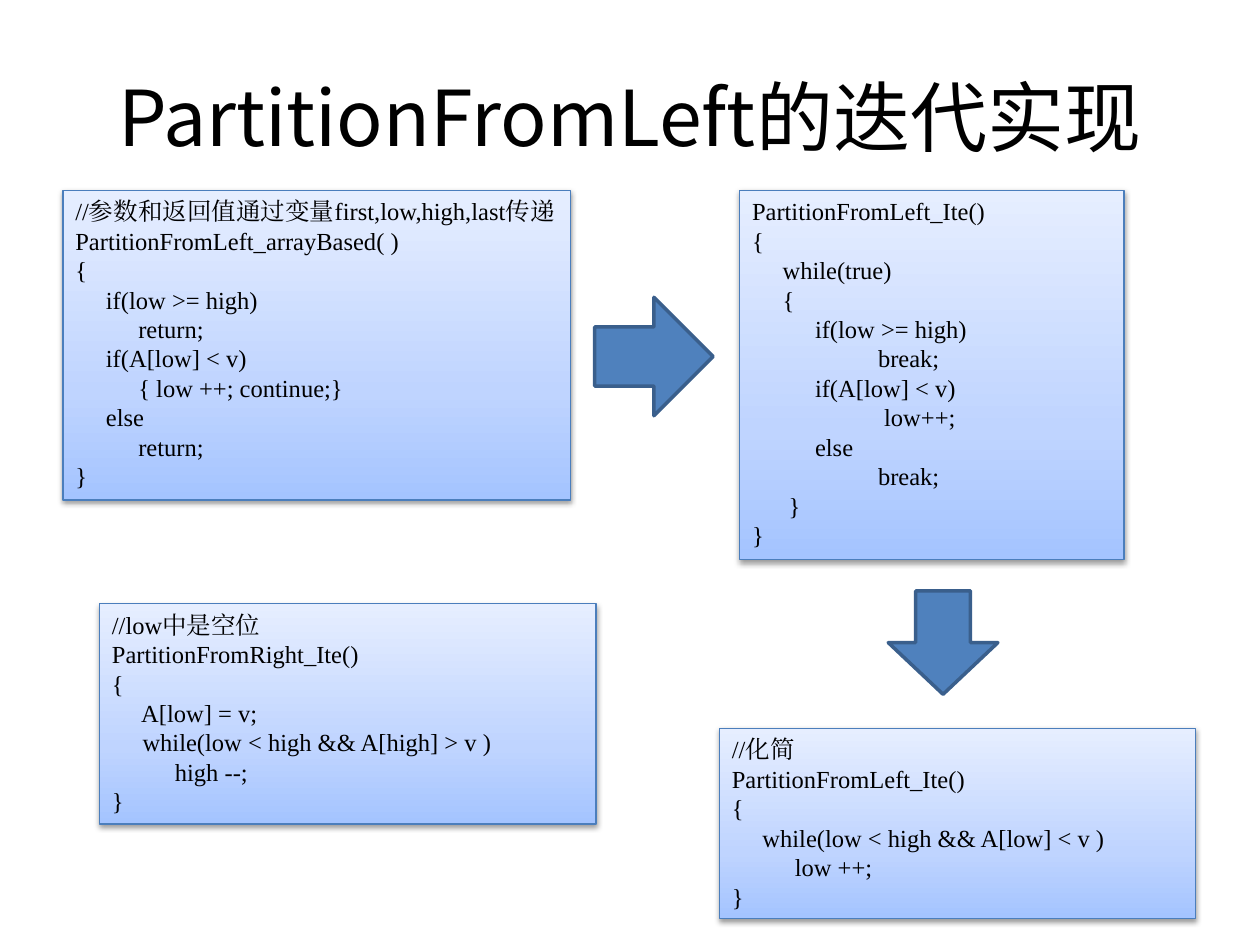
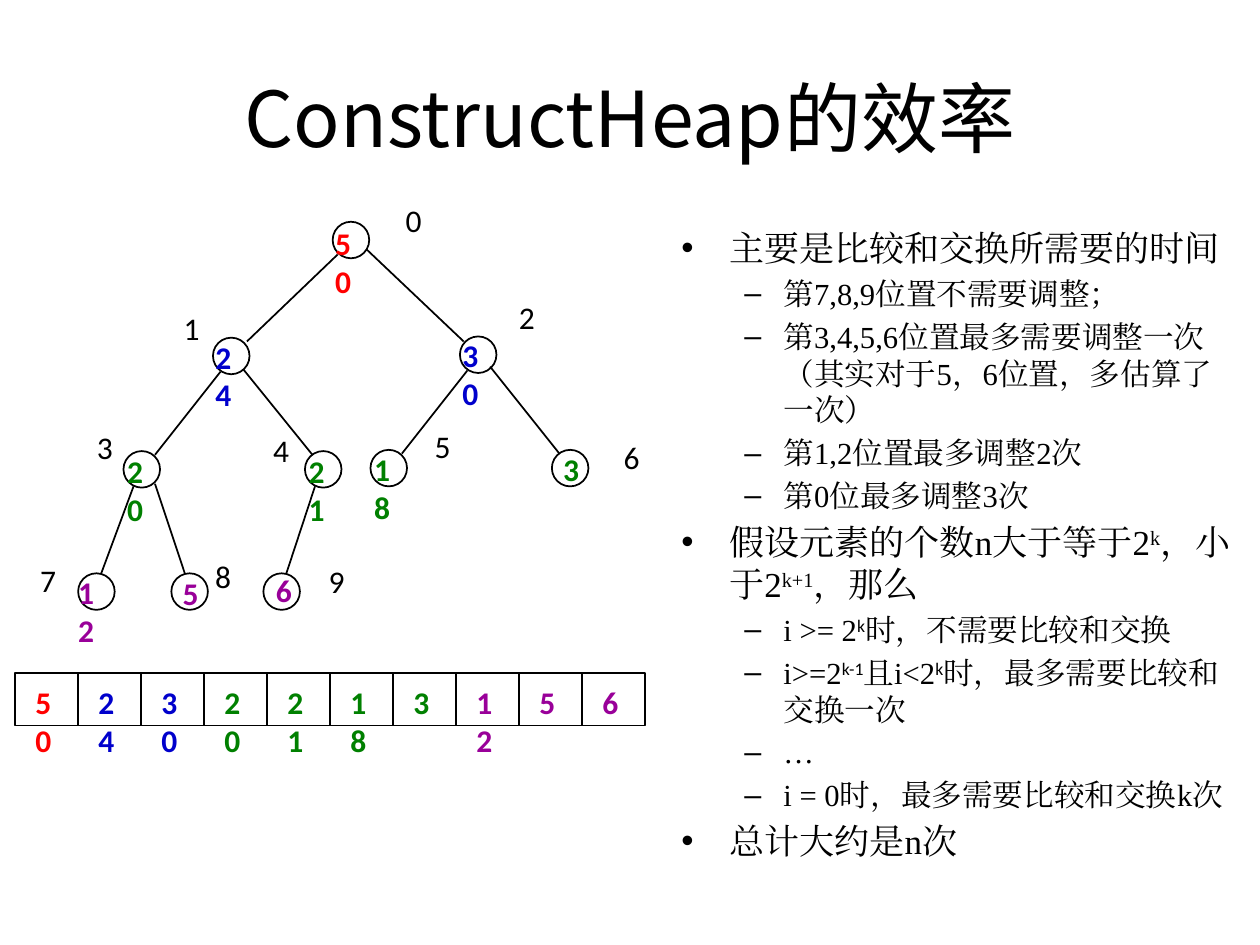
from dataclasses import dataclass

from lxml import etree
from pptx import Presentation
from pptx.dml.color import RGBColor
from pptx.enum.shapes import MSO_CONNECTOR as Connector, MSO_SHAPE as Shape
from pptx.enum.text import MSO_ANCHOR as Anchor, PP_ALIGN as Align
from pptx.oxml import parse_xml
from pptx.oxml.ns import nsdecls, qn
from pptx.util import Emu, Pt

PX = 9144  # EMU in one px, 100 px to the inch
TITLE_ONLY = 5


@dataclass(frozen=True)
class Theme:
    ink: str = "000000"
    arrow_fill: str = "4F81BD"
    arrow_line: str = "3A5F8C"
    code_line: str = "4B7EBC"
    code_stops: tuple = ((0, "A4C4FF"), (35, "BFD4FF"), (100, "E6EEFF"))
    root: str = "FF0000"
    second: str = "0000CC"
    third: str = "008000"
    leaf: str = "990099"
    title_font: str = "Noto Sans CJK JP"
    text_font: str = "Times New Roman"
    number_font: str = "Calibri"
    title_size: float = 44
    code_size: float = 14
    number_size: float = 18
    bullet_sizes: tuple = (20, 17.5)
    leading: float = 1.2


class Builder:
    """Holds the theme and the current slide, and draws on it."""

    def __init__(self, theme):
        self.theme = theme
        self.deck = Presentation()
        self.deck.slide_width, self.deck.slide_height = self.emu(1000, 750)
        self.page = None

    @staticmethod
    def emu(*lengths):
        return [Emu(length * PX) for length in lengths]

    @staticmethod
    def style(span, font, size, color, bold=False):
        span.font.name = font
        span.font.size = Pt(size)
        span.font.bold = bold
        span.font.color.rgb = RGBColor.from_string(color)
        latin = span.font._element.find(qn("a:latin"))
        latin.addnext(parse_xml(f'<a:ea {nsdecls("a")} typeface="{font}"/>'))

    @staticmethod
    def outline(item, color, width):
        item.line.color.rgb = RGBColor.from_string(color)
        item.line.width = Pt(width)

    def new_page(self, title, top):
        self.page = self.deck.slides.add_slide(self.deck.slide_layouts[TITLE_ONLY])
        box = self.page.shapes.title
        box.left, box.top, box.width, box.height = self.emu(50, top, 900, 125)
        frame = box.text_frame
        frame.text = title
        frame.vertical_anchor = Anchor.MIDDLE
        para = frame.paragraphs[0]
        para.alignment = Align.CENTER
        self.style(para.runs[0], self.theme.title_font, self.theme.title_size,
                   self.theme.ink)

    def shape(self, kind, place, line, width, fill=None):
        item = self.page.shapes.add_shape(kind, *self.emu(*place))
        item.shadow.inherit = False
        self.outline(item, line, width)
        if fill:
            item.fill.solid()
            item.fill.fore_color.rgb = RGBColor.from_string(fill)
        else:
            item.fill.background()
        return item

    def line(self, x1, y1, x2, y2, width):
        item = self.page.shapes.add_connector(
            Connector.STRAIGHT, *self.emu(x1, y1, x2, y2))
        self.outline(item, self.theme.ink, width)
        etree.SubElement(item._element.spPr, qn("a:effectLst"))

    def arrow(self, kind, place):
        self.shape(kind, place, self.theme.arrow_line, 2, self.theme.arrow_fill)

    def code(self, place, text):
        theme = self.theme
        box = self.shape(Shape.RECTANGLE, place, theme.code_line, 0.75)
        properties = box._element.spPr
        stops = "".join(
            f'<a:gs pos="{at * 1000}"><a:srgbClr val="{color}"/></a:gs>'
            for at, color in theme.code_stops)
        properties.replace(properties.find(qn("a:noFill")), parse_xml(
            f'<a:gradFill {nsdecls("a")} rotWithShape="1"><a:gsLst>{stops}</a:gsLst>'
            '<a:lin ang="16200000" scaled="0"/></a:gradFill>'))
        properties.find(qn("a:effectLst")).append(parse_xml(
            f'<a:outerShdw {nsdecls("a")} blurRad="40000" dist="20000" dir="5400000"'
            ' rotWithShape="0"><a:srgbClr val="000000"><a:alpha val="38000"/>'
            '</a:srgbClr></a:outerShdw>'))
        frame = box.text_frame
        frame.word_wrap = True
        frame.vertical_anchor = Anchor.TOP
        frame.text = text
        for para in frame.paragraphs:
            para.alignment = Align.LEFT
            para.line_spacing = Pt(theme.code_size * theme.leading)
            self.style(para.runs[0], theme.text_font, theme.code_size, theme.ink)

    def text_box(self, place):
        frame = self.page.shapes.add_textbox(*self.emu(*place)).text_frame
        frame.word_wrap = True
        return frame

    def index(self, left, top, number):
        frame = self.text_box((left, top, 35, 40))
        frame.text = str(number)
        self.style(frame.paragraphs[0].runs[0], self.theme.number_font,
                   self.theme.number_size, self.theme.ink)

    def value(self, left, top, number, color):
        frame = self.text_box((left, top, 25, 30))
        frame.margin_left = frame.margin_right = 0
        frame.margin_top = frame.margin_bottom = 0
        frame.text = str(number)
        self.style(frame.paragraphs[0].runs[0], self.theme.number_font,
                   self.theme.number_size, color, bold=True)

    def bullets(self, place, items):
        """Each item is (level, text); text between ^ marks is raised."""
        theme = self.theme
        frame = self.text_box(place)
        for number, (level, text) in enumerate(items):
            para = frame.add_paragraph() if number else frame.paragraphs[0]
            para.level = level
            size = theme.bullet_sizes[level]
            left, hanging = self.emu(*((38, 38), (81, 31))[level])
            properties = para._p.get_or_add_pPr()
            properties.set("marL", str(left))
            properties.set("indent", str(-hanging))
            etree.SubElement(properties, qn("a:buFont"), typeface="Arial")
            etree.SubElement(properties, qn("a:buChar"), char="•–"[level])
            para.line_spacing = Pt(size * theme.leading)
            if number:
                para.space_before = Pt(size * 0.2)
            for part, words in enumerate(text.split("^")):
                span = para.add_run()
                span.text = words
                raised = part % 2 == 1
                font = theme.number_font if raised and level else theme.text_font
                self.style(span, font, size, theme.ink)
                if raised:
                    span.font._element.set("baseline", "30000")


ARRAY_CODE = """//参数和返回值通过变量first,low,high,last传递PartitionFromLeft_arrayBased( )
{
     if(low >= high)
\treturn;
     if(A[low] < v)
\t{ low ++; continue;}
     else
\treturn;
}"""

LOOP_CODE = """PartitionFromLeft_Ite()
{
     while(true)
     {
\tif(low >= high)
\t\tbreak;
\tif(A[low] < v)
\t\t low++;
\telse
\t\tbreak;
      }
}"""

SHORT_CODE = """//化简
PartitionFromLeft_Ite()
{
     while(low < high && A[low] < v )
\tlow ++;
}"""

RIGHT_CODE = """//low中是空位
PartitionFromRight_Ite()
{
     A[low] = v;
     while(low < high && A[high] > v )
\thigh --;
}"""

COST_NOTES = (
    (0, "主要是比较和交换所需要的时间"),
    (1, "第7,8,9位置不需要调整；"),
    (1, "第3,4,5,6位置最多需要调整一次（其实对于5，6位置，多估算了一次）"),
    (1, "第1,2位置最多调整2次"),
    (1, "第0位最多调整3次"),
    (0, "假设元素的个数n大于等于2^k^，小于2^k+1^，那么"),
    (1, "i >= 2^k^时，不需要比较和交换"),
    (1, "i>=2^k-1^且i<2^k^时，最多需要比较和交换一次"),
    (1, "…"),
    (1, "i = 0时，最多需要比较和交换k次"),
    (0, "总计大约是n次"),
)

# Heap nodes in array order: value, circle, value place, index place
HEAP = (
    (50, (264, 176), (266, 178), (312, 155)),
    (24, (169, 268), (171, 268), (136, 240)),
    (30, (365, 267), (367, 267), (402, 232)),
    (20, (98, 358), (101, 359), (67, 335)),
    (21, (242, 358), (245, 359), (207, 337)),
    (18, (294, 357), (297, 357), (335, 334)),
    (3, (438, 357), (447, 357), (485, 343)),
    (12, (62, 455), (62, 455), (22, 440)),
    (5, (136, 455), (145, 456), (161, 437)),
    (6, (209, 455), (219, 453), (251, 441)),
)

BRANCHES = (
    (268, 202, 196, 271), (291, 198, 368, 271),
    (175, 295, 123, 361), (193, 293, 248, 361),
    (371, 294, 319, 360), (389, 291, 444, 360),
    (106, 386, 80, 456), (123, 384, 147, 456), (250, 386, 227, 456),
)


def partition_page(builder):
    builder.new_page("PartitionFromLeft的迭代实现", 29)
    builder.code((587, 151, 305, 293), LOOP_CODE)
    builder.code((50, 151, 403, 246), ARRAY_CODE)
    builder.code((571, 578, 378, 151), SHORT_CODE)
    builder.arrow(Shape.RIGHT_ARROW, (472, 236, 94, 94))
    builder.arrow(Shape.DOWN_ARROW, (705, 469, 87, 82))
    builder.code((79, 479, 394, 175), RIGHT_CODE)


def heap_page(builder):
    theme = builder.theme
    level_colors = (theme.root, theme.second, theme.third, theme.leaf)
    builder.new_page("ConstructHeap的效率", 30)
    builder.bullets((531, 175, 457, 495), COST_NOTES)

    # Array frame and dividers
    left, top, cell, height = 12, 534, 50, 42
    builder.shape(Shape.RECTANGLE, (left, top, cell * len(HEAP), height),
                  theme.ink, 0.75)
    for number in range(1, len(HEAP)):
        x = left + cell * number
        builder.line(x, top, x, top + height - 1, 0.75)

    # Tree, with each value repeated in its array cell
    for branch in BRANCHES:
        builder.line(*branch, 1)
    for number, (value, circle, value_at, index_at) in enumerate(HEAP):
        color = level_colors[(number + 1).bit_length() - 1]
        builder.shape(Shape.OVAL, (*circle, 29, 29), theme.ink, 1)
        builder.index(*index_at, number)
        builder.value(*value_at, value, color)
        builder.value(left + cell * number + 16, top + 8, value, color)


def main():
    builder = Builder(Theme())
    partition_page(builder)
    heap_page(builder)
    builder.deck.save("out.pptx")


if __name__ == "__main__":
    main()
